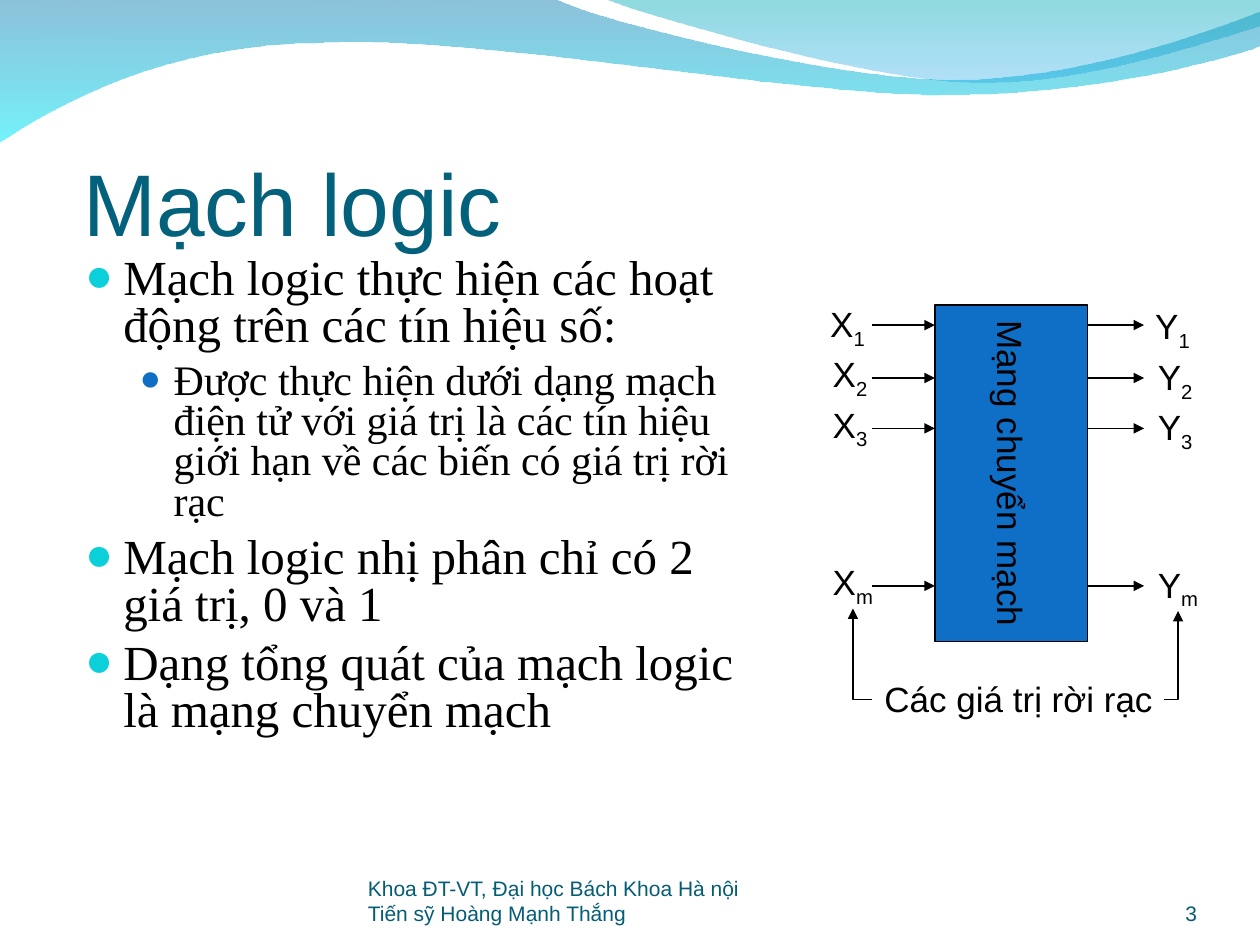
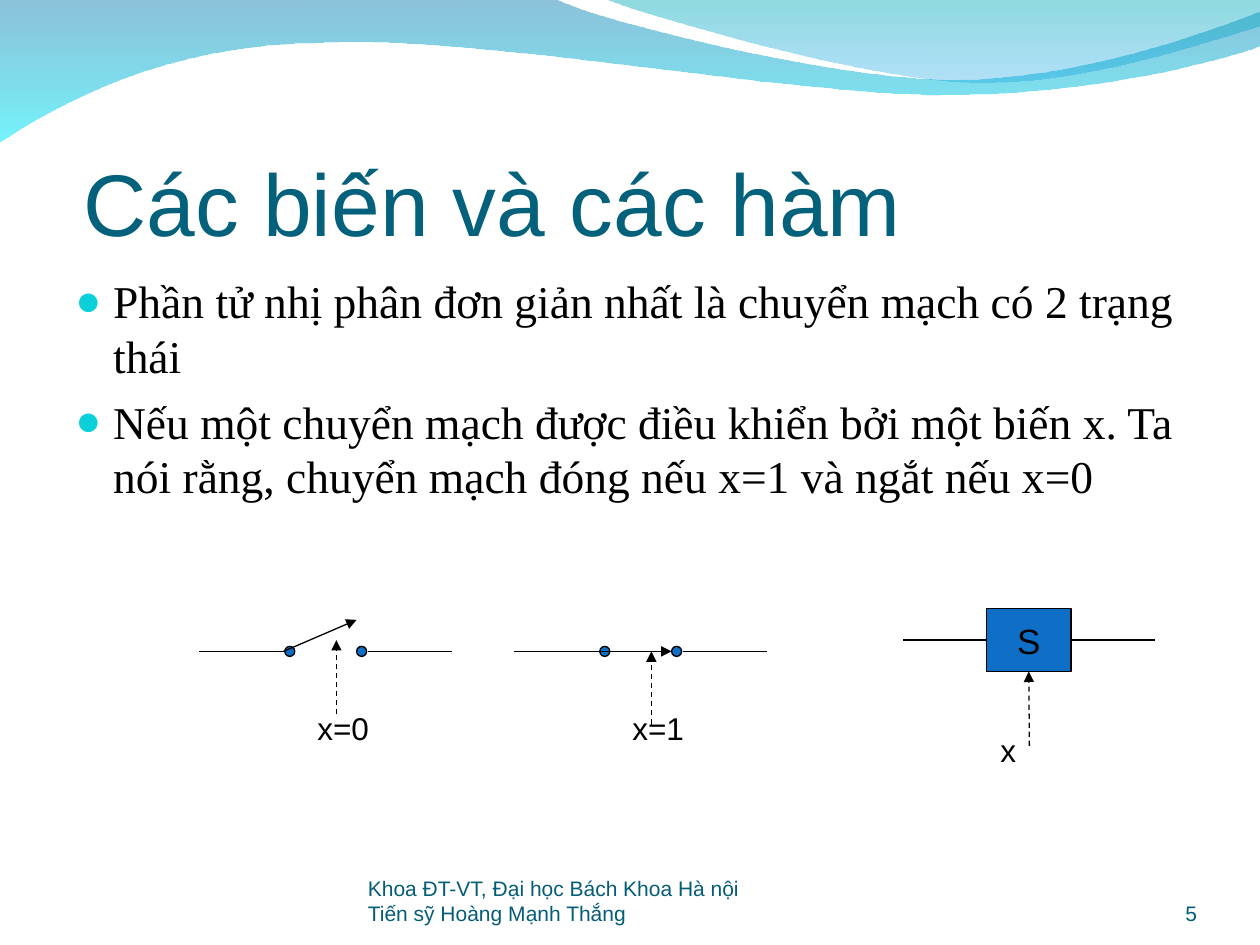
from lxml import etree
from pptx import Presentation
from pptx.dml.color import RGBColor
from pptx.enum import dml, shapes, text
from pptx.oxml.ns import qn
from pptx.util import Inches, Pt

COLORS = {
    "title": "04617B", "footer": "045C75", "ink": "000000", "block": "0F6FC6",
    "bullet": "0BD0D9", "sub_bullet": "0F6FC6",
}
FOOTER = ["Khoa ĐT-VT, Đại học Bách Khoa Hà nội", "Tiến sỹ Hoàng Mạnh Thắng"]

# Vietnamese tone marks, stored after their vowel in titles, body and diagrams
VOWELS = "aăâeêioôơuưy"
TONES = {0x300: "àằầèềìòồờùừỳ", 0x301: "áắấéếíóốớúứý", 0x303: "ãẵẫẽễĩõỗỡũữỹ",
         0x309: "ảẳẩẻểỉỏổởủửỷ", 0x323: "ạặậẹệịọộợụựỵ"}
TONE_TABLE = {ord(letter): vowel + chr(mark) for mark, letters in TONES.items()
              for letter, vowel in zip(letters, VOWELS)}

# Wave bands: start point, then lines (1 point) or Bézier curves (3 points);
# gradient stops are (colour, opacity in percent)
WAVES = [
    {"start": (0, -0.01),
     "segments": [[(4.4, -0.01)],
                  [(4.76, 0.17), (6.64, 0.63), (7.58, 0.63)],
                  [(8.53, 0.63), (9.58, 0.26), (10, 0.09)],
                  [(10.01, 0.36)],
                  [(9.83, 0.44), (8.7, 0.76), (7.46, 0.75)],
                  [(6.22, 0.75), (3.82, 0.28), (2.57, 0.34)],
                  [(1.29, 0.35), (0.46, 0.83), (-0.01, 1.13)]],
     "stops": [("0079AF", 45), ("00EBF8", 55)]},
    {"start": (4.79, -0.01),
     "segments": [[(5.09, 0.11), (6.82, 0.62), (7.69, 0.65)],
                  [(8.56, 0.69), (9.61, 0.32), (10, 0.21)],
                  [(10, 0)]],
     "stops": [("00ADB6", 45), ("009BE5", 30)]},
]

# Bullet levels: left margin, hanging indent, bullet colour and size
LEVELS = [
    {"margin": 0.3, "hang": 0.3, "color": "bullet", "percent": 95},
    {"margin": 0.7, "hang": 0.27, "color": "sub_bullet", "percent": 85},
]


def rgb(name):
    return RGBColor.from_string(COLORS.get(name, name))


def set_all(target, values):
    for key, value in values.items():
        setattr(target, key, value)


def add_run(paragraph, words, size, color="ink", font="Arial"):
    run = paragraph.add_run()
    run.text = words
    set_all(run.font, {"size": Pt(size), "name": font})
    run.font.color.rgb = rgb(color)
    return run


def add_toned_run(paragraph, words, *style):
    return add_run(paragraph, words.translate(TONE_TABLE), *style)


def set_insets(frame, left, top, right, bottom):
    set_all(frame, {"margin_left": Inches(left), "margin_top": Inches(top),
                    "margin_right": Inches(right), "margin_bottom": Inches(bottom)})


# --- Shared slide parts ---
def bend_segments(wave, corners, segments):
    """Turn the straight sides that have control points into Bézier curves."""
    left, top = (min(axis) for axis in zip(*corners))
    sides = list(wave.element.spPr.iter(qn("a:lnTo")))
    for side, segment in zip(sides, segments):
        if len(segment) == 3:
            curve = etree.Element(qn("a:cubicBezTo"))
            for x, y in segment:
                etree.SubElement(curve, qn("a:pt"), x=str(round((x - left) * 100)),
                                 y=str(round((y - top) * 100)))
            side.getparent().replace(side, curve)


def add_wave(slide, start, segments, stops):
    corners = [start] + [segment[-1] for segment in segments]
    grid = [(round(x * 100), round(y * 100)) for x, y in corners]
    builder = slide.shapes.build_freeform(*grid[0], scale=Inches(0.01))
    builder.add_line_segments(grid[1:], close=True)
    wave = builder.convert_to_shape()
    bend_segments(wave, corners, segments)
    wave.shadow.inherit = False
    wave.line.fill.background()
    wave.fill.gradient()
    wave.fill.gradient_angle = 270
    for stop, (color, _) in zip(wave.fill.gradient_stops, stops):
        stop.color.rgb = rgb(color)
    gradient = wave.element.spPr.find(qn("a:gradFill"))
    for color, (_, opacity) in zip(gradient.iter(qn("a:srgbClr")), stops):
        etree.SubElement(color, qn("a:alpha"), val=str(opacity * 1000))


def add_footer_text(slide, left, width, lines, align):
    box = slide.shapes.add_textbox(Inches(left), Inches(6.95), Inches(width), Inches(0.4))
    frame = box.text_frame
    set_all(frame, {"word_wrap": True, "vertical_anchor": text.MSO_ANCHOR.BOTTOM})
    set_insets(frame, 0, 0, 0, 0)
    for i, line in enumerate(lines):
        paragraph = frame.add_paragraph() if i else frame.paragraphs[0]
        paragraph.alignment = align
        add_run(paragraph, line, 12, "footer")


def add_slide(prs, heading, number):
    slide = prs.slides.add_slide(prs.slide_layouts[5])
    for wave in WAVES:
        add_wave(slide, **wave)
    title = slide.shapes.title
    set_all(title, {"left": Inches(0.5), "top": Inches(0.77),
                    "width": Inches(9), "height": Inches(1.25)})
    frame = title.text_frame
    set_all(frame, {"vertical_anchor": text.MSO_ANCHOR.BOTTOM, "word_wrap": True,
                    "auto_size": text.MSO_AUTO_SIZE.NONE})
    set_insets(frame, 0.16, 0.05, 0, 0)
    frame.paragraphs[0].alignment = text.PP_ALIGN.LEFT
    add_toned_run(frame.paragraphs[0], heading, 50, "title")
    add_footer_text(slide, 8.67, 0.83, [str(number)], text.PP_ALIGN.RIGHT)
    add_footer_text(slide, 2.92, 3.67, FOOTER, text.PP_ALIGN.LEFT)
    return slide


def add_bullet(paragraph, margin, hang, color, percent):
    props = paragraph._p.get_or_add_pPr()
    props.set("marL", str(Inches(margin)))
    props.set("indent", str(-Inches(hang)))
    bullet_color = etree.SubElement(props, qn("a:buClr"))
    etree.SubElement(bullet_color, qn("a:srgbClr"), val=COLORS[color])
    etree.SubElement(props, qn("a:buSzPct"), val=str(percent * 1000))
    etree.SubElement(props, qn("a:buFont"), typeface="Arial")
    etree.SubElement(props, qn("a:buChar"), char="●")


def add_body(slide, box, items, line_spacing):
    """items: (level, font size, words)"""
    frame = slide.shapes.add_textbox(*map(Inches, box)).text_frame
    frame.word_wrap = True
    for i, (level, size, words) in enumerate(items):
        paragraph = frame.add_paragraph() if i else frame.paragraphs[0]
        add_bullet(paragraph, **LEVELS[level])
        set_all(paragraph, {"level": level, "line_spacing": line_spacing,
                            "space_before": Pt(size / 4 if i else 0)})
        add_toned_run(paragraph, words, size, "ink", "Times New Roman")


# --- Diagram parts ---
def add_label(slide, left, top, width, height, words, size, subscript=""):
    box = slide.shapes.add_textbox(*map(Inches, (left, top, width, height)))
    set_all(box.text_frame, {"word_wrap": False,
                             "auto_size": text.MSO_AUTO_SIZE.SHAPE_TO_FIT_TEXT})
    paragraph = box.text_frame.paragraphs[0]
    add_toned_run(paragraph, words, size)
    if subscript:
        run = add_run(paragraph, subscript, size)
        run.font._element.set("baseline", "-25000")


def add_block(slide, kind, left, top, width, height, words="", rotation=0):
    block = slide.shapes.add_shape(kind, *map(Inches, (left, top, width, height)))
    block.rotation = rotation
    block.shadow.inherit = False
    block.fill.solid()
    block.fill.fore_color.rgb = rgb("block")
    block.line.color.rgb = rgb("ink")
    block.line.width = Pt(0.75)
    if words:
        set_all(block.text_frame, {"word_wrap": False,
                                   "vertical_anchor": text.MSO_ANCHOR.MIDDLE})
        block.text_frame.paragraphs[0].alignment = text.PP_ALIGN.CENTER
        add_toned_run(block.text_frame.paragraphs[0], words, 20)
    return block


def add_wire(slide, start, end, arrow=False, dashed=False, elbow=False):
    kind = shapes.MSO_CONNECTOR.ELBOW if elbow else shapes.MSO_CONNECTOR.STRAIGHT
    wire = slide.shapes.add_connector(kind, *map(Inches, start + end))
    wire.line.color.rgb = rgb("ink")
    wire.line.width = Pt(0.75)
    props = wire._element.spPr
    if elbow:
        props.find(qn("a:prstGeom")).set("prst", "bentConnector2")
    if dashed:
        wire.line.dash_style = dml.MSO_LINE.DASH
    if arrow:
        etree.SubElement(props.find(qn("a:ln")), qn("a:tailEnd"), type="triangle")
    etree.SubElement(props, qn("a:effectLst"))
    return wire


def add_switch(slide, left, blade_rise, tip, control_start, words):
    wire_y = 5.17
    for wire_left, contact_left in ((left, left + 0.68), (left + 1.34, left + 1.25)):
        add_wire(slide, (wire_left, wire_y), (wire_left + 0.67, wire_y))
        add_block(slide, shapes.MSO_SHAPE.OVAL, contact_left, wire_y - 0.04, 0.08, 0.08)
    add_wire(slide, (left + 0.67, wire_y), (left + 1.25, wire_y - blade_rise), arrow=True)
    control_x = left + 1.09
    add_wire(slide, (control_x, control_start), (control_x, tip), arrow=True, dashed=True)
    add_label(slide, left + 0.84, 5.58, 0.61, 0.4, words, 18)


def add_switching_network(slide):
    # Subscript, wire height, label top, label shift
    signals = [("1", 2.58, 2.35, -0.02), ("2", 3, 2.75, 0),
               ("3", 3.4, 3.15, 0), ("m", 4.65, 4.4, 0)]
    # Letter, label left, label drop, wire start, wire end
    sides = [("X", 6.51, 0, 6.92, 7.42), ("Y", 9.09, 0.02, 8.63, 9.08)]
    for subscript, wire_y, label_top, shift in signals:
        for letter, label_left, drop, wire_start, wire_end in sides:
            add_label(slide, label_left + shift, label_top + drop, 0.52, 0.48,
                      letter, 20, subscript)
            add_wire(slide, (wire_start, wire_y), (wire_end, wire_y), arrow=True)
    add_block(slide, shapes.MSO_SHAPE.RECTANGLE, 6.69, 3.15, 2.67, 1.21,
              "Mạng chuyển mạch", rotation=90)
    add_label(slide, 6.92, 5.33, 2.33, 0.44, "Các giá trị rời rạc", 20)
    add_wire(slide, (6.92, 5.55), (6.77, 4.83), arrow=True, elbow=True)
    add_wire(slide, (9.24, 5.55), (9.35, 4.85), arrow=True, elbow=True)


def add_switch_symbol(slide):
    symbol = add_block(slide, shapes.MSO_SHAPE.RECTANGLE, 7.83, 4.83, 0.67, 0.5, "S")
    add_wire(slide, (7.17, 5.08), (7.83, 5.08)).end_connect(symbol, 1)
    add_wire(slide, (8.5, 5.08), (9.17, 5.08)).begin_connect(symbol, 3)
    control = add_wire(slide, (8.17, 5.92), (8.17, 5.33), arrow=True, dashed=True)
    control.end_connect(symbol, 2)
    add_label(slide, 7.84, 5.75, 0.32, 0.4, "x", 18)


def main():
    prs = Presentation()
    prs.slide_width, prs.slide_height = Inches(10), Inches(7.5)

    # Logic circuits
    logic = add_slide(prs, "Mạch logic", 3)
    add_body(logic, (0.58, 2, 5.42, 4.42), [
        (0, 28, "Mạch logic thực hiện các hoạt động trên các tín hiệu số:"),
        (1, 24, "Được thực hiện dưới dạng mạch điện tử với giá trị là các tín hiệu "
                "giới hạn về các biến có giá trị rời rạc"),
        (0, 28, "Mạch logic nhị phân chỉ có 2 giá trị, 0 và 1"),
        (0, 28, "Dạng tổng quát của mạch logic là mạng chuyển mạch"),
    ], 0.8)
    add_switching_network(logic)

    # Variables and functions
    variables = add_slide(prs, "Các biến và các hàm", 5)
    add_body(variables, (0.5, 2.12, 9, 4.8), [
        (0, 26, "Phần tử nhị phân đơn giản nhất là chuyển mạch có 2 trạng thái"),
        (0, 26, "Nếu một chuyển mạch được điều khiển bởi một biến x. Ta nói rằng, "
                "chuyển mạch đóng nếu x=1 và ngắt nếu x=0"),
    ], 1.0)
    add_switch(variables, 1.58, 0.25, 5.08, 5.67, "x=0")
    add_switch(variables, 4.08, 0, 5.17, 5.75, "x=1")
    add_switch_symbol(variables)

    prs.save("out.pptx")


if __name__ == "__main__":
    main()
